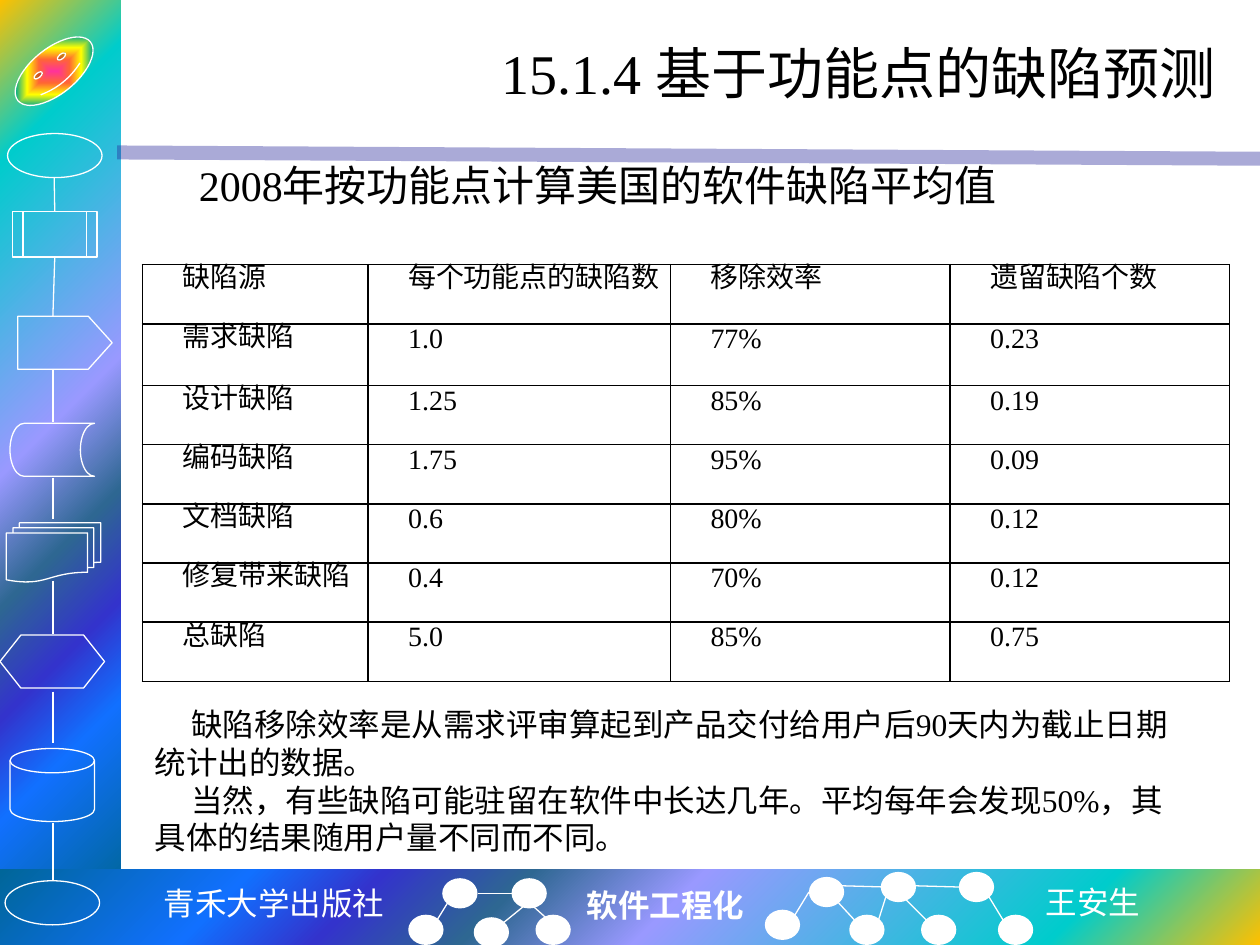
from lxml import etree
from pptx import Presentation
from pptx.dml.color import RGBColor
from pptx.enum.shapes import MSO_CONNECTOR, MSO_SHAPE
from pptx.enum.text import MSO_ANCHOR, PP_ALIGN
from pptx.oxml import parse_xml
from pptx.oxml.ns import nsdecls, qn
from pptx.util import Inches, Pt

LINE = MSO_CONNECTOR.STRAIGHT
OVAL = MSO_SHAPE.OVAL
RECT = MSO_SHAPE.RECTANGLE
LEFT, RIGHT = PP_ALIGN.LEFT, PP_ALIGN.RIGHT
CENTER, JUSTIFY = PP_ALIGN.CENTER, PP_ALIGN.JUSTIFY
TOP, MIDDLE = MSO_ANCHOR.TOP, MSO_ANCHOR.MIDDLE

SERIF, MONO, SANS = "Times New Roman", "Noto Sans Mono", "Noto Sans CJK SC"
WHITE, BLACK = "FFFFFF", "000000"
BAND = [(0, "FFC000"), (16, "00CCCC"), (47, "9999FF"), (60, "2E6792"),
        (71, "3333CC"), (81, "1170FF"), (100, "006699")]
GLOW = [(0, "FF3399"), (25, "FF6633"), (50, "FFFF00"), (75, "01A78F"),
        (100, "3366FF")]

# The slide is a grid of 100 columns by 75 rows
COLS, ROWS = 100, 75
WIDE = Inches(10)
CELL = WIDE // COLS

SYMBOLS = [
    (OVAL, 0.6, 10.6, 7.5, 3.5),
    (MSO_SHAPE.FLOWCHART_PREDEFINED_PROCESS, 1, 16.8, 6.7, 3.6),
    (MSO_SHAPE.PENTAGON, 1.4, 25.1, 7.5, 4.2),
    (MSO_SHAPE.FLOWCHART_STORED_DATA, 0.8, 33.6, 6.7, 4.2),
    (MSO_SHAPE.FLOWCHART_MULTIDOCUMENT, 0.5, 41.5, 7.5, 4.7),
    (MSO_SHAPE.FLOWCHART_PREPARATION, 0, 50.4, 8.3, 4.2),
    (MSO_SHAPE.FLOWCHART_MAGNETIC_DISK, 0.8, 59.4, 6.7, 5.8),
    (OVAL, 0.4, 69.9, 7.5, 3.5),
]
SPINE = [(29.3, 33.5), (37.9, 41.2), (46.1, 50.3), (54.9, 59), (65.3, 69.9)]

DOTS = [(35.1, 69.7), (40.6, 69.7), (32.4, 72.6), (37.6, 72.8), (42.5, 72.6),
        (64.2, 69.6), (69.9, 69.2), (76.1, 69.2), (60.7, 72.2),
        (67.4, 72.6), (73.1, 72.6), (79.2, 72.6)]
LINKS = [(34.7, 73, 35.5, 71.7), (40, 73.2, 41.6, 71.9),
         (40.6, 70.9, 37.9, 70.9), (43.4, 72.9, 42.4, 72),
         (67.8, 73, 66.5, 71.6), (73.5, 73, 71.5, 71),
         (79.6, 73, 78.5, 71.2), (69.7, 73.1, 70.3, 71.2),
         (72.6, 70.3, 76.1, 70.4), (63.1, 72.6, 64.2, 70.8),
         (66.8, 70.3, 70.3, 70.4)]

WIDTHS = [17.9, 24, 22.2, 22.2]
HEIGHTS = [4.7, 4.9] + [4.7] * 5
DATA = [
    ("缺陷源", "每个功能点的缺陷数", "移除效率", "遗留缺陷个数"),
    ("需求缺陷", "1.0", "77%", "0.23"),
    ("设计缺陷", "1.25", "85%", "0.19"),
    ("编码缺陷", "1.75", "95%", "0.09"),
    ("文档缺陷", "0.6", "80%", "0.12"),
    ("修复带来缺陷", "0.4", "70%", "0.12"),
    ("总缺陷", "5.0", "85%", "0.75"),
]
NOTES = [
    "缺陷移除效率是从需求评审算起到产品交付给用户后90天内为截止日期统计出的数据。",
    "当然，有些缺陷可能驻留在软件中长达几年。平均每年会发现50%，其具体的结果随用户量不同而不同。",
]


def grid(*cells):
    return [round(n * CELL) for n in cells]


def color(code):
    return RGBColor.from_string(code)


def shape(slide, kind, box, fill=None, line=None):
    item = slide.shapes.add_shape(kind, *grid(*box))
    item.shadow.inherit = False
    if fill:
        item.fill.solid()
        item.fill.fore_color.rgb = color(fill)
    else:
        item.fill.background()
    if line:
        item.line.color.rgb = color(line)
        item.line.width = Pt(0.75)
    else:
        item.line.fill.background()
    return item


def shade(item, stops, kind, focus):
    """Fill an unfilled shape with a path gradient around focus (l, t, r, b)."""
    marks = "".join(f'<a:gs pos="{pos * 1000}"><a:srgbClr val="{code}"/></a:gs>'
                    for pos, code in stops)
    sides = " ".join(f'{side}="{share * 1000}"'
                     for side, share in zip("ltrb", focus))
    fill = parse_xml(
        f'<a:gradFill {nsdecls("a")} rotWithShape="1"><a:gsLst>{marks}</a:gsLst>'
        f'<a:path path="{kind}"><a:fillToRect {sides}/></a:path></a:gradFill>')
    props = item._element.spPr
    props.replace(props.find(qn("a:noFill")), fill)


def link(slide, ends, code=WHITE, width=0.75):
    item = slide.shapes.add_connector(LINE, *grid(*ends))
    item.line.color.rgb = color(code)
    item.line.width = Pt(width)
    etree.SubElement(item._element.spPr, qn("a:effectLst"))
    return item


def style(para, size, code=BLACK, font=SERIF, bold=False, align=LEFT, indent=0):
    para.alignment = align
    if indent:
        props = para._p.get_or_add_pPr()
        props.set("marL", "0")
        props.set("indent", str(grid(indent)[0]))
    for run in para.runs:
        run.font.size = Pt(size)
        run.font.name = font
        run.font.bold = bold
        run.font.color.rgb = color(code)


def text(slide, box, lines, size, wrap=True, anchor=TOP, **look):
    frame = slide.shapes.add_textbox(*grid(*box)).text_frame
    frame.word_wrap = wrap
    frame.vertical_anchor = anchor
    frame.text = "\n".join(lines)
    for para in frame.paragraphs:
        style(para, size, **look)


def border(cell):
    props = cell._tc.get_or_add_tcPr()
    for i, side in enumerate(("lnL", "lnR", "lnT", "lnB")):
        props.insert(i, parse_xml(
            f'<a:{side} {nsdecls("a")} w="{Pt(1)}"><a:solidFill>'
            f'<a:srgbClr val="{BLACK}"/></a:solidFill></a:{side}>'))


def table(slide, left, top):
    box = grid(left, top, sum(WIDTHS), sum(HEIGHTS))
    made = slide.shapes.add_table(len(DATA), len(WIDTHS), *box).table
    for col, width in zip(made.columns, grid(*WIDTHS)):
        col.width = width
    for row, high, words in zip(made.rows, grid(*HEIGHTS), DATA):
        row.height = high
        for cell, word in zip(row.cells, words):
            cell.fill.background()
            border(cell)
            cell.margin_left = cell.margin_right = grid(0.2)[0]
            cell.margin_top = cell.margin_bottom = 0
            cell.text = word
            para = cell.text_frame.paragraphs[0]
            para.line_spacing = Pt(17.6)
            style(para, 16, align=JUSTIFY, indent=3)


def frame(slide):
    """Draw the side band, the foot band and the rule under the title."""
    side = shape(slide, RECT, (0, 0, 9.6, 70.9))
    shade(side, BAND, "circle", (0, 0, 100, 100))
    foot = shape(slide, RECT, (0, 69, COLS, 6))
    shade(foot, BAND, "circle", (100, 100, 0, 0))
    rule = link(slide, (9.3, 12.1, COLS, 12.6), "262699", 8)
    tint = rule._element.spPr.find(".//" + qn("a:srgbClr"))
    etree.SubElement(tint, qn("a:alpha")).set("val", "39000")


def flow(slide):
    """Draw the chain of flowchart symbols on the side band."""
    badge = shape(slide, MSO_SHAPE.SMILEY_FACE, (0.6, 3.85, 7.4, 3.6), line=WHITE)
    badge.rotation = -39
    badge.adjustments[0] = 0.05
    shade(badge, GLOW, "shape", (50, 50, 50, 50))
    steps = [shape(slide, kind, box, line=WHITE) for kind, *box in SYMBOLS]
    steps[2].adjustments[0] = 0.45
    link(slide, (4.3, 14.1, 4.3, 16.8)).end_connect(steps[1], 0)
    link(slide, (4.3, 20.4, 4.2, 25.1)).begin_connect(steps[1], 2)
    for start, end in SPINE:
        link(slide, (4.2, start, 4.2, end))


def nodes(slide):
    """Draw the two node graphs on the foot band."""
    for left, top in DOTS:
        shape(slide, OVAL, (left, top, 2.8, 2.4), fill=WHITE)
    for ends in LINKS:
        link(slide, ends)


def main():
    deck = Presentation()
    deck.slide_width, deck.slide_height = WIDE, CELL * ROWS
    slide = deck.slides.add_slide(deck.slide_layouts[6])
    frame(slide)
    flow(slide)
    nodes(slide)
    text(slide, (11.9, 69.7, 19.7, 4), ["青禾大学出版社"], 18, wrap=False,
         code=WHITE, font=MONO, align=CENTER)
    text(slide, (45.6, 69.8, 14.6, 4), ["软件工程化"], 18, wrap=False,
         code=WHITE, bold=True)
    text(slide, (82, 69.6, 9.6, 4), ["王安生"], 18, wrap=False,
         code=WHITE, font=SANS)
    text(slide, (12.5, 1.7, 85, 8.1), ["15.1.4 基于功能点的缺陷预测"], 32,
         anchor=MIDDLE, align=RIGHT)
    table(slide, 11.3, 21)
    text(slide, (14.8, 12.2, 73.1, 5), ["2008年按功能点计算美国的软件缺陷平均值"], 24)
    text(slide, (11.3, 55.4, 83.2, 13.1), NOTES, 18, anchor=MIDDLE, indent=2.9)
    deck.save("out.pptx")


if __name__ == "__main__":
    main()
